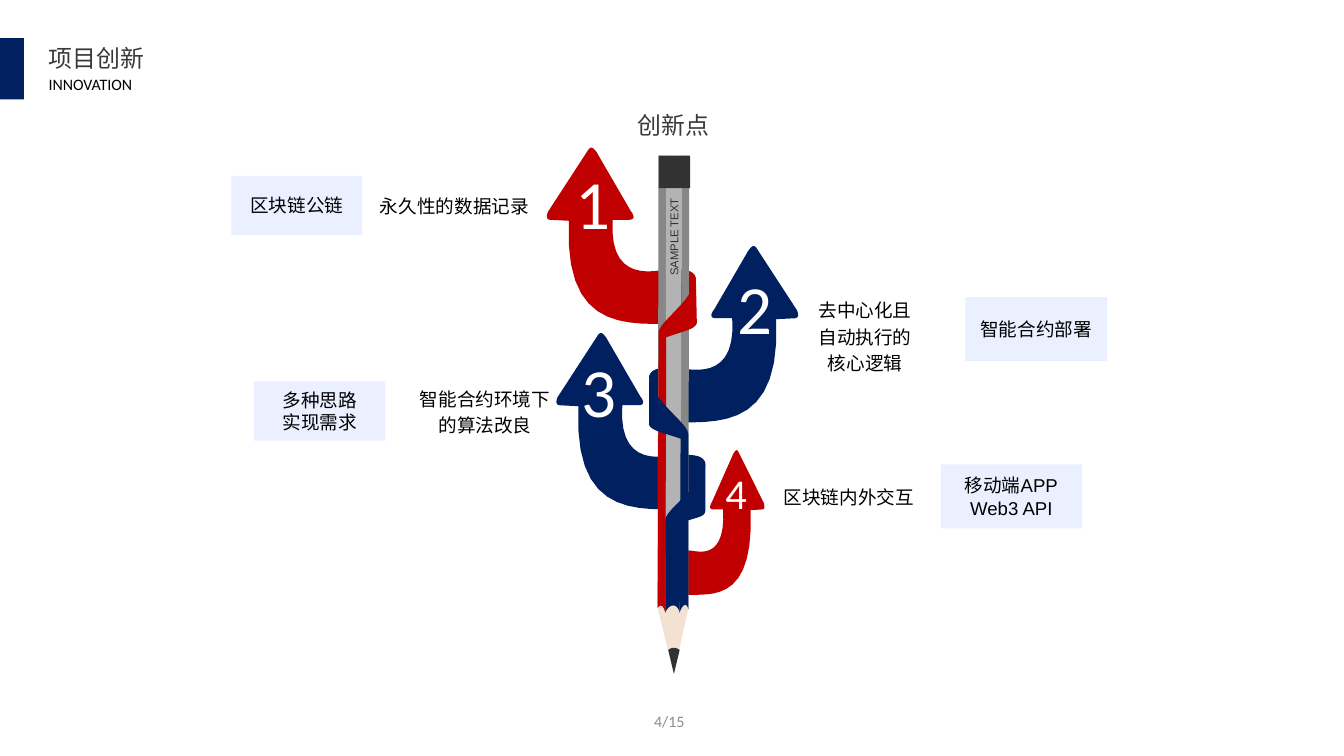
import pptx
import pptx.util
import pptx.dml.color
import pptx.enum.shapes
import pptx.enum.text
import pptx.oxml.ns
from lxml import etree

Inches = pptx.util.Inches
ALIGN = pptx.enum.text.PP_ALIGN
ANCHOR = pptx.enum.text.MSO_ANCHOR

COLORS = {
    "navy": "002060", "red": "C00000", "title": "3B3838", "black": "000000",
    "white": "FFFFFF", "page": "8C8C8C", "card": "D6E3FF", "lead": "323232",
    "edge": "878787", "face": "B3B3B3", "wood": "F3E1D1",
}
CJK_FONT = "Noto Sans CJK SC"

# Lines, left, top, width, height
CARDS = [
    (["区块链公链"], 2.42, 1.84, 1.37, 0.62),
    (["智能合约部署"], 10.1, 3.11, 1.48, 0.67),
    (["移动端APP", "Web3 API"], 9.84, 4.86, 1.48, 0.67),
    (["多种思路", "实现需求"], 2.66, 3.99, 1.37, 0.62),
]
DESCRIPTIONS = [
    (["永久性的数据记录"], 3.87, 1.94, 1.77, 0.36),
    (["去中心化且", "自动执行的", "核心逻辑"], 8.38, 3.03, 1.34, 0.92),
    (["智能合约环境下", "的算法改良"], 4.05, 3.96, 2.05, 0.64),
    (["区块链内外交互"], 8.09, 4.99, 1.58, 0.36),
]

# An outline lists points (x, y) and cubic curves (x1, y1, x2, y2, x, y).
ARROW_WIDTH, ARROW_HEIGHT = 1.58, 1.89
ARROW = [
    (1.58, 1.39), (1.56, 1.29, 1.42, 1.29, 1.21, 1.31),
    (1.04, 1.33, 0.67, 1.37, 0.71, 0.78), (0.88, 0.78),
    (0.94, 0.78, 0.94, 0.74, 0.9, 0.69), (0.54, 0.07),
    (0.5, 0.02, 0.48, 0, 0.44, 0.07), (0.03, 0.7),
    (0.03, 0.71, 0, 0.77, 0.05, 0.78), (0.25, 0.79),
    (0.2, 1.87, 0.77, 1.87, 1.24, 1.87), (1.32, 1.89, 1.57, 1.76, 1.58, 1.39),
]
# Left, top, width, height, mirrored, colour
ARROWS = [
    (7.02, 4.69, 0.99, 1.55, True, "red"),
    (5.8, 3.46, ARROW_WIDTH, ARROW_HEIGHT, False, "navy"),
    (6.79, 2.55, ARROW_WIDTH, ARROW_HEIGHT, True, "navy"),
    (5.7, 1.52, ARROW_WIDTH, ARROW_HEIGHT, False, "red"),
]
# Number, centre x, centre y, font size
NUMBERS = [("1", 6.2, 2.11, 52), ("2", 7.9, 3.21, 52),
           ("3", 6.27, 4.08, 52), ("4", 7.7, 5.15, 32)]

PENCIL = [
    ("edge", [(6.97, 6.41), (6.88, 6.36), (6.89, 1.63), (6.98, 1.63)]),
    ("edge", [(7.2, 6.38), (7.12, 6.41), (7.13, 1.63), (7.21, 1.63)]),
    ("face", [(7.12, 6.41), (6.96, 6.41), (6.97, 1.63), (7.13, 1.63)]),
    ("wood", [(6.96, 6.41), (6.96, 6.41, 7, 6.31, 7.03, 6.32),
              (7.06, 6.33, 7.1, 6.32, 7.11, 6.39), (7.12, 6.39, 7.14, 6.33, 7.17, 6.33),
              (7.19, 6.33, 7.2, 6.37, 7.2, 6.37), (7.05, 7.05), (6.88, 6.36),
              (6.88, 6.36, 6.93, 6.28, 6.96, 6.41)]),
    ("lead", [(6.99, 6.8), (7.05, 7.05), (7.11, 6.8), (7.11, 6.8, 7.05, 6.75, 6.99, 6.8)]),
]
BANDS = [
    ("red", [(6.96, 6.41), (6.97, 3.53), (7.16, 3.46, 7.27, 3.45, 7.29, 3.38), (7.28, 2.91),
             (7.25, 3.15, 6.89, 3.37, 6.89, 3.48), (6.88, 6.36),
             (6.91, 6.32, 6.94, 6.33, 6.96, 6.41)]),
    ("navy", [(7.11, 6.41), (7.12, 4.59), (6.91, 4.52, 6.8, 4.5, 6.79, 4.44), (6.79, 3.95),
              (6.82, 4.19, 7.2, 4.43, 7.2, 4.54), (7.2, 6.37),
              (7.19, 6.31, 7.14, 6.31, 7.11, 6.41)]),
    ("navy", [(7.11, 6.41), (7.12, 5.47), (7.33, 5.4, 7.37, 5.41, 7.38, 5.34), (7.38, 4.86),
              (7.34, 5.1, 6.96, 5.33, 6.96, 5.44), (6.96, 6.41),
              (7, 6.31, 7.09, 6.31, 7.11, 6.41)]),
]


def rgb(color):
    return pptx.dml.color.RGBColor.from_string(COLORS[color])


def fill_plain(shape, color):
    shape.shadow.inherit = False
    shape.fill.solid()
    shape.fill.fore_color.rgb = rgb(color)
    shape.line.fill.background()


def add_rectangle(shapes, color, left, top, width, height):
    shape = shapes.add_shape(pptx.enum.shapes.MSO_SHAPE.RECTANGLE, Inches(left), Inches(top),
                             Inches(width), Inches(height))
    fill_plain(shape, color)
    return shape


def write_lines(shape, lines, size, font, color, align=ALIGN.LEFT, anchor=ANCHOR.TOP,
                wrap=True, spacing=1.0):
    frame = shape.text_frame
    frame.text = "\n".join(lines)
    frame.word_wrap = wrap
    frame.auto_size = pptx.enum.text.MSO_AUTO_SIZE.NONE
    frame.vertical_anchor = anchor
    for paragraph in frame.paragraphs:
        paragraph.alignment = align
        paragraph.line_spacing = spacing
        paragraph.font.size = pptx.util.Pt(size)
        paragraph.font.name = font
        paragraph.font.color.rgb = rgb(color)
        properties = paragraph._p.pPr.find(pptx.oxml.ns.qn("a:defRPr"))
        etree.SubElement(properties, pptx.oxml.ns.qn("a:ea"), typeface=CJK_FONT)


def add_text(shapes, lines, left, top, width, height, *style, **options):
    box = shapes.add_textbox(Inches(left), Inches(top), Inches(width), Inches(height))
    write_lines(box, lines, *style, **options)
    return box


def flatten(outline, steps=12):
    """Turn the curves of an outline into short straight segments."""
    points = [outline[0]]
    for part in outline[1:]:
        if len(part) == 2:
            points.append(part)
            continue
        start = points[-1]
        for step in range(1, steps + 1):
            t = step / steps
            u = 1 - t
            points.append(tuple(
                u**3 * start[axis] + 3 * u * u * t * part[axis]
                + 3 * u * t * t * part[2 + axis] + t**3 * part[4 + axis]
                for axis in (0, 1)))
    return points


def add_outline(shapes, color, points):
    corners = [(Inches(x), Inches(y)) for x, y in points]
    builder = shapes.build_freeform(*corners[0])
    builder.add_line_segments(corners[1:], close=True)
    fill_plain(builder.convert_to_shape(), color)


def add_arrow(shapes, left, top, width, height, mirrored, color):
    points = []
    for x, y in flatten(ARROW):
        across = ARROW_WIDTH - x if mirrored else x
        points.append((left + across * width / ARROW_WIDTH, top + y * height / ARROW_HEIGHT))
    add_outline(shapes, color, points)


def add_pencil(shapes):
    for arrow in ARROWS:
        add_arrow(shapes, *arrow)
    for color, outline in PENCIL:
        add_outline(shapes, color, flatten(outline))
    add_rectangle(shapes, "lead", 6.89, 1.63, 0.33, 0.34)
    for color, outline in BANDS:
        add_outline(shapes, color, flatten(outline))
    imprint = add_text(shapes, ["SAMPLE TEXT"], 6.45, 2.33, 1.2, 0.3, 8.5, "Arial", "lead",
                       align=ALIGN.CENTER, anchor=ANCHOR.MIDDLE, wrap=False)
    imprint.rotation = -90
    for number, x, y, size in NUMBERS:
        add_text(shapes, [number], x - 0.4, y - 0.5, 0.8, 1, size, "Calibri", "white",
                 align=ALIGN.CENTER, anchor=ANCHOR.MIDDLE, wrap=False)
    add_text(shapes, ["创新点"], 6.57, 1.11, 0.97, 0.41, 18, CJK_FONT, "title", wrap=False)


def main():
    presentation = pptx.Presentation()
    presentation.slide_width = Inches(14.06)
    presentation.slide_height = Inches(7.91)
    slide = presentation.slides.add_slide(presentation.slide_layouts[5])
    shapes = slide.shapes

    title = shapes.title
    title.left, title.top = Inches(0.41), Inches(0.41)
    title.width, title.height = Inches(1.22), Inches(0.41)
    write_lines(title, ["项目创新"], 18, CJK_FONT, "title", wrap=False)
    add_rectangle(shapes, "navy", 0, 0.4, 0.25, 0.64)
    add_text(shapes, ["INNOVATION"], 0.41, 0.73, 1.1, 0.31, 12, "Calibri", "black", wrap=False)

    add_pencil(shapes.add_group_shape().shapes)
    for lines, *place in DESCRIPTIONS:
        add_text(shapes, lines, *place, 14, "Arial", "black", align=ALIGN.CENTER,
                 wrap=False, spacing=1.2)
    for lines, *place in CARDS:
        card = add_rectangle(shapes, "card", *place)
        color = card.fill._xPr.find(".//" + pptx.oxml.ns.qn("a:srgbClr"))
        etree.SubElement(color, pptx.oxml.ns.qn("a:alpha"), val="50000")
        write_lines(card, lines, 14, "Arial", "black", align=ALIGN.CENTER, anchor=ANCHOR.MIDDLE)
    add_text(shapes, ["4/15"], 4.1, 7.33, 3.16, 0.42, 12, "Calibri", "page",
             align=ALIGN.RIGHT, anchor=ANCHOR.MIDDLE)
    presentation.save("out.pptx")


if __name__ == "__main__":
    main()
